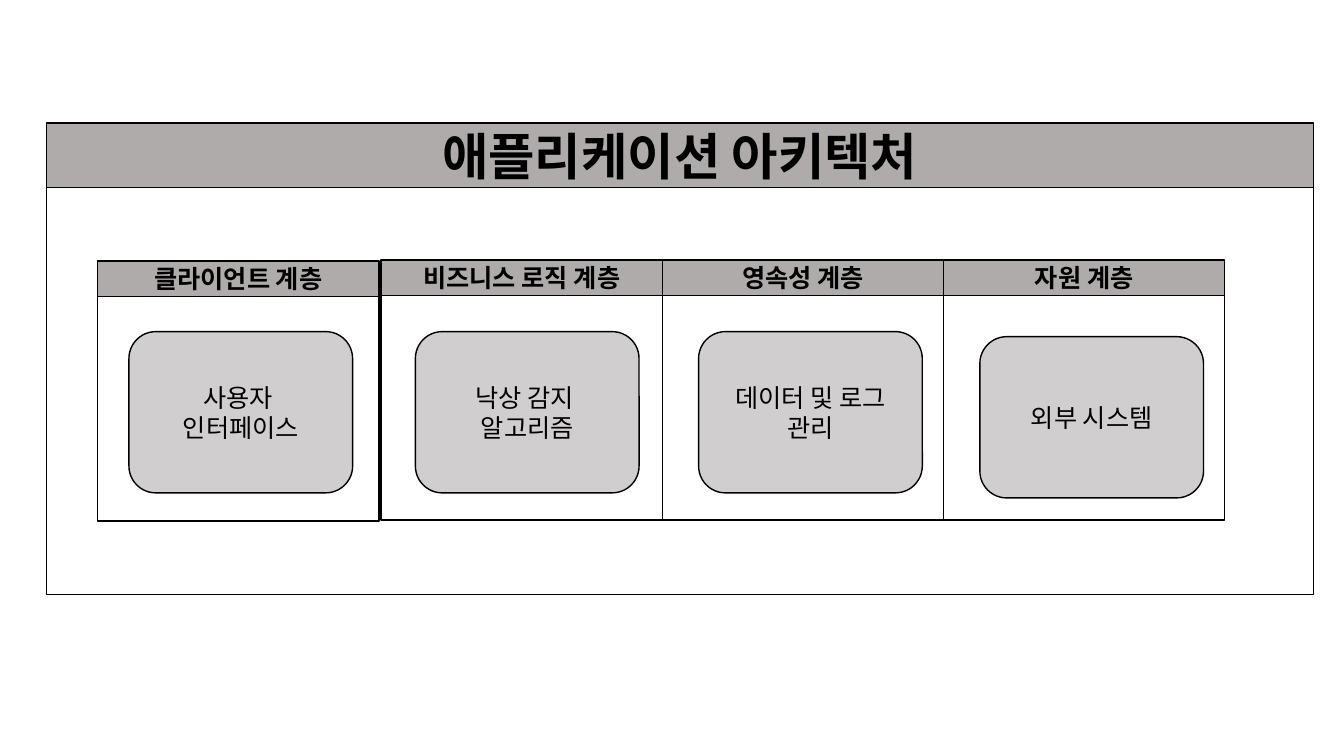
import pptx
import pptx.dml.color
import pptx.enum.shapes
import pptx.enum.text
import pptx.oxml.ns
import pptx.util
from lxml import etree

Pt = pptx.util.Pt
SHAPE = pptx.enum.shapes.MSO_SHAPE
BLACK = pptx.dml.color.RGBColor(0x00, 0x00, 0x00)
HEADER_GRAY = pptx.dml.color.RGBColor(0xAF, 0xAB, 0xAB)
BOX_GRAY = pptx.dml.color.RGBColor(0xD0, 0xCE, 0xCE)
FONT = "Noto Sans CJK KR"

LAYER_W, LAYER_H, LAYER_HEADER_H = 200.9, 185.8, 25.2
BOX_W, BOX_H = 159.8, 115.2
# layer left and top, title, component text, component offset within the layer
LAYERS = [
    (69.8, 186.5, "클라이언트 계층", ["사용자 ", "인터페이스"], 22.3, 50.4),
    (272.2, 185.8, "비즈니스 로직 계층", ["낙상 감지 ", "알고리즘"], 24.5, 51.1),
    (473.1, 185.8, "영속성 계층", ["데이터 및 로그 관리"], 25.9, 51.1),
    (674, 185.8, "자원 계층", ["외부 시스템"], 25.9, 54.7),
]


def add_box(shapes, kind, x, y, w, h, fill=None):
    s = shapes.add_shape(kind, Pt(x), Pt(y), Pt(w), Pt(h))
    s.shadow.inherit = False
    if fill is None:
        s.fill.background()
    else:
        s.fill.solid()
        s.fill.fore_color.rgb = fill
    s.line.color.rgb = BLACK
    s.line.width = Pt(1)
    return s


def write(s, lines, size, bold=False):
    """Fill a shape with centred black paragraphs, one per line."""
    tf = s.text_frame
    tf.word_wrap = True
    tf.vertical_anchor = pptx.enum.text.MSO_ANCHOR.MIDDLE
    tf.text = "\n".join(lines)
    for p in tf.paragraphs:
        p.alignment = pptx.enum.text.PP_ALIGN.CENTER
        p.font.size = Pt(size)
        p.font.bold = bold
        p.font.color.rgb = BLACK
        p.font.name = FONT
        # Hangul takes its typeface from the East Asian font slot
        props = p._p.pPr.find(pptx.oxml.ns.qn("a:defRPr"))
        etree.SubElement(props, pptx.oxml.ns.qn("a:ea"), typeface=FONT)


def add_titled_frame(slide, x, y, w, h, header_h, title, size):
    """Group an open frame with a gray title bar on top of it."""
    shapes = slide.shapes.add_group_shape().shapes
    add_box(shapes, SHAPE.RECTANGLE, x, y + header_h, w, h - header_h)
    header = add_box(shapes, SHAPE.RECTANGLE, x, y, w, header_h, HEADER_GRAY)
    write(header, [title], size, bold=True)


def add_layer(slide, x, y, title, lines, dx, dy):
    add_titled_frame(slide, x, y, LAYER_W, LAYER_H, LAYER_HEADER_H, title, 18)
    component = add_box(slide.shapes, SHAPE.ROUNDED_RECTANGLE,
                        x + dx, y + dy, BOX_W, BOX_H, BOX_GRAY)
    write(component, lines, 18)


def main():
    prs = pptx.Presentation()
    prs.slide_width, prs.slide_height = Pt(960), Pt(540)
    slide = prs.slides.add_slide(prs.slide_layouts[6])
    add_titled_frame(slide, 33.1, 87.9, 905, 337, 46.1, "애플리케이션 아키텍처", 36)
    for layer in LAYERS:
        add_layer(slide, *layer)
    prs.save("out.pptx")


if __name__ == "__main__":
    main()
